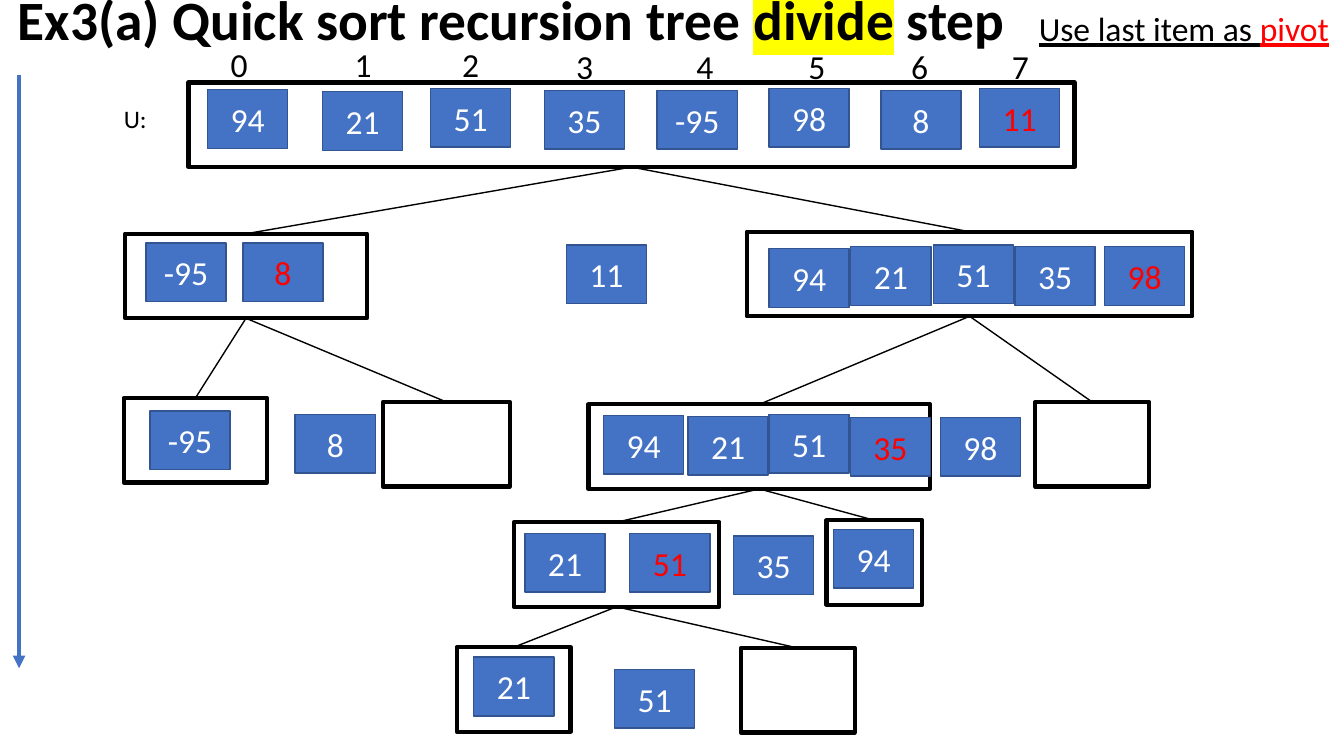
from lxml import etree
from pptx import Presentation
from pptx.dml.color import RGBColor
from pptx.enum.shapes import MSO_CONNECTOR as LINK, MSO_SHAPE as SHAPE
from pptx.enum.text import MSO_ANCHOR as ANCHOR, PP_ALIGN as ALIGN
from pptx.oxml.ns import qn
from pptx.util import Cm, Pt

BLUE = RGBColor(0x44, 0x72, 0xC4)
EDGE = RGBColor(0x32, 0x54, 0x91)
BLACK = RGBColor(0, 0, 0)
WHITE = RGBColor(255, 255, 255)
RED = RGBColor(255, 0, 0)
YELLOW = RGBColor(255, 255, 0)
FONT = "Calibri"

# Lengths are centimetres
CELL_W, CELL_H = 2.02, 1.48
NODE_H = 2.13

# Node: left, top, width, parent, cells as (value, dx, dy)
NODES = {
    "root": (4.75, 2.08, 22.33, None, [
        ("94", 0.48, 0.18), ("21", 3.38, 0.23), ("51", 6.1, 0.15),
        ("35", 8.97, 0.2), ("-95", 11.81, 0.2), ("98", 14.63, 0.15),
        ("8", 17.45, 0.2), ("11", 19.94, 0.15)]),
    "low": (3.15, 5.89, 6.1, "root", [("-95", 0.53, 0.23), ("8", 2.97, 0.23)]),
    "high": (18.82, 5.84, 11.23, "root", [
        ("94", 0.56, 0.43), ("21", 2.62, 0.38), ("51", 4.7, 0.33),
        ("35", 6.76, 0.38), ("98", 9.02, 0.38)]),
    "low-low": (3.12, 10.03, 3.61, "low", [("-95", 0.66, 0.33)]),
    "low-high": (9.65, 10.13, 3.2, "low", []),
    "mid": (14.83, 10.19, 8.61, "high", [
        ("94", 0.38, 0.28), ("21", 2.51, 0.3), ("51", 4.55, 0.25),
        ("35", 6.6, 0.33)]),
    "high-high": (26.09, 10.13, 2.87, "high", []),
    "mid-low": (12.95, 13.16, 5.18, "mid", [("21", 0.28, 0.28), ("51", 2.92, 0.28)]),
    "mid-high": (20.83, 13.11, 2.41, "mid", [("94", 0.18, 0.23)]),
    "end-low": (11.51, 16.31, 2.87, "mid-low", [("21", 0.43, 0.25)]),
    "end-high": (18.67, 16.33, 2.87, "mid-low", []),
}
# Pivots standing between the two halves: value, left, top
PIVOTS = [("11", 14.27, 6.17), ("8", 7.44, 10.44), ("98", 23.7, 10.52),
          ("35", 18.49, 13.51), ("51", 15.49, 16.87)]
# Offsets of the index labels from the root node
MARKS = [(0.81, -1.09), (3.94, -1.09), (6.65, -1.11), (9.52, -1.06),
         (12.55, -1.04), (15.37, -1.04), (17.96, -1.06), (20.5, -1.06)]


def add_run(para, text, size, color, bold=None, line=None, mark=None):
    run = para.add_run()
    run.text = text
    font = run.font
    font.name, font.size, font.bold, font.underline = FONT, Pt(size), bold, line
    font.color.rgb = color
    if mark is not None:
        glow = etree.Element(qn("a:highlight"))
        etree.SubElement(glow, qn("a:srgbClr")).set("val", str(mark))
        run._r.rPr.find(qn("a:solidFill")).addnext(glow)


def add_text(slide, left, top, width, height, wrap=True):
    """Add an empty text box and return its first paragraph."""
    frame = slide.shapes.add_textbox(Cm(left), Cm(top), Cm(width), Cm(height)).text_frame
    frame.word_wrap = wrap
    return frame, frame.paragraphs[0]


def add_rect(slide, left, top, width, height, line, weight):
    rect = slide.shapes.add_shape(SHAPE.RECTANGLE, Cm(left), Cm(top), Cm(width), Cm(height))
    rect.shadow.inherit = False
    rect.fill.background()
    rect.line.color.rgb = line
    rect.line.width = Pt(weight)
    return rect


def add_line(slide, start, end, color, weight):
    line = slide.shapes.add_connector(LINK.STRAIGHT, *(Cm(v) for v in (*start, *end)))
    line.line.color.rgb = color
    line.line.width = Pt(weight)
    etree.SubElement(line._element.spPr, qn("a:effectLst"))
    return line


def add_cell(slide, left, top, value, color=WHITE):
    cell = add_rect(slide, left, top, CELL_W, CELL_H, EDGE, 1)
    cell.fill.solid()
    cell.fill.fore_color.rgb = BLUE
    frame = cell.text_frame
    frame.vertical_anchor = ANCHOR.MIDDLE
    para = frame.paragraphs[0]
    para.alignment = ALIGN.CENTER
    add_run(para, value, 24, color)


def add_node(slide, left, top, width, cells):
    """Frame the cells; the last of several is the red pivot."""
    add_rect(slide, left, top, width, NODE_H, BLACK, 3)
    for pos, (value, dx, dy) in enumerate(cells, 1):
        pivot = pos == len(cells) > 1
        add_cell(slide, left + dx, top + dy, value, RED if pivot else WHITE)


def add_tree(slide):
    for left, top, width, parent, cells in NODES.values():
        add_node(slide, left, top, width, cells)
        if parent:
            x, y, span = NODES[parent][:3]
            add_line(slide, (x + span / 2, y + NODE_H), (left + width / 2, top), BLACK, 1)
    for value, left, top in PIVOTS:
        add_cell(slide, left, top, value)


def add_marks(slide, left, top):
    """Label the root node and number its cells."""
    para = add_text(slide, left - 1.88, top + 0.41, 1.63, 1.02)[1]
    add_run(para, "U:", 18, BLACK)
    for num, (dx, dy) in enumerate(MARKS):
        para = add_text(slide, left + dx, top + dy, 0.53, 1.27)[1]
        add_run(para, str(num), 24, BLACK)


def add_head(slide, left, top, width, height):
    frame, para = add_text(slide, left, top, width, height)
    frame.vertical_anchor = ANCHOR.MIDDLE
    para.line_spacing = 0.9
    for text, mark in (("Ex3(a) Quick sort recursion tree ", None),
                       ("divide", YELLOW), (" step", None)):
        add_run(para, text, 39.6, BLACK, bold=True, mark=mark)


def add_hint(slide, left, top, width, height):
    para = add_text(slide, left, top, width, height, wrap=False)[1]
    add_run(para, "Use last item as ", 24, BLACK, line=True)
    add_run(para, "pivot", 24, RED, line=True)


def add_arrow(slide, x, top, end):
    arrow = add_line(slide, (x, top), (x, end), BLUE, 3)
    tip = etree.SubElement(arrow.line._get_or_add_ln(), qn("a:tailEnd"))
    tip.set("type", "triangle")


def main():
    deck = Presentation()
    deck.slide_width, deck.slide_height = Cm(33.87), Cm(19.05)
    slide = deck.slides.add_slide(deck.slide_layouts[6])
    add_head(slide, 0.2, -0.05, 28.52, 1.22)
    add_hint(slide, 25.93, 0.08, 7.87, 1.27)
    add_marks(slide, *NODES["root"][:2])
    add_tree(slide)
    add_arrow(slide, 0.48, 1.9, 16.84)
    deck.save("out.pptx")


if __name__ == "__main__":
    main()
